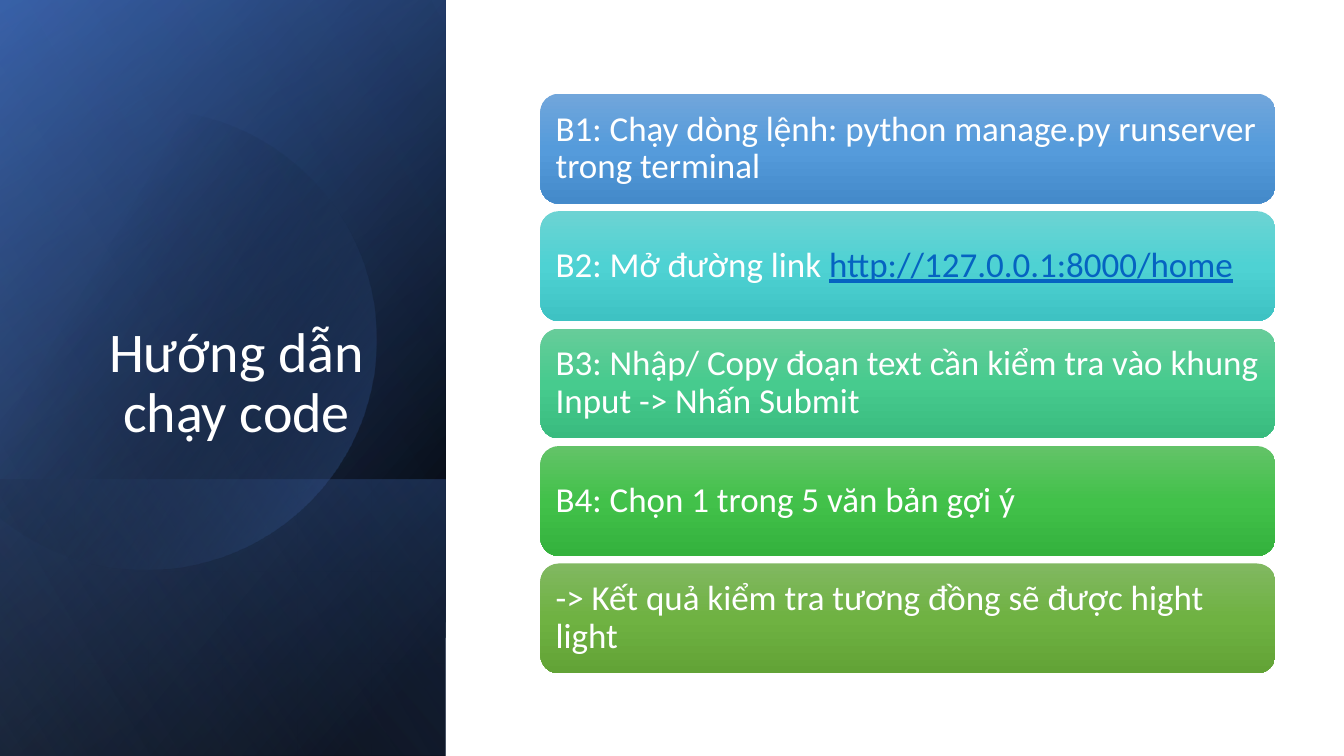
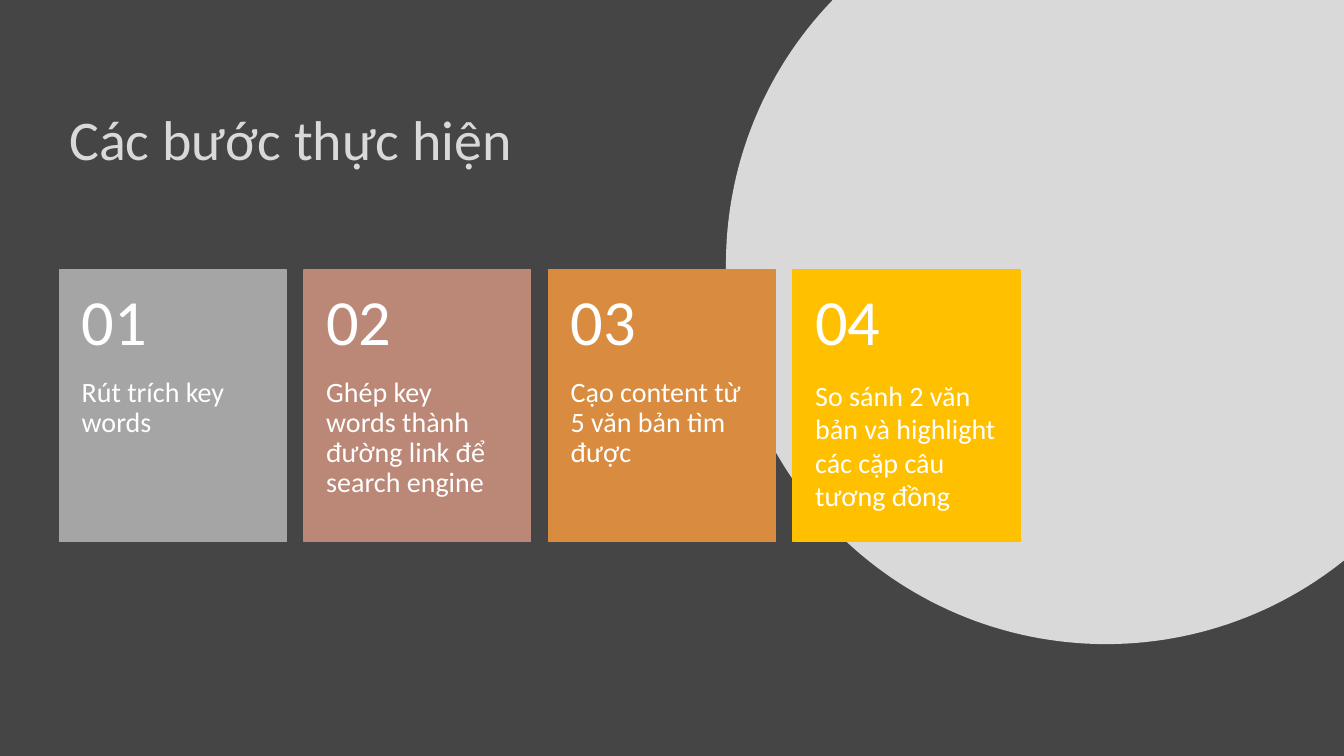
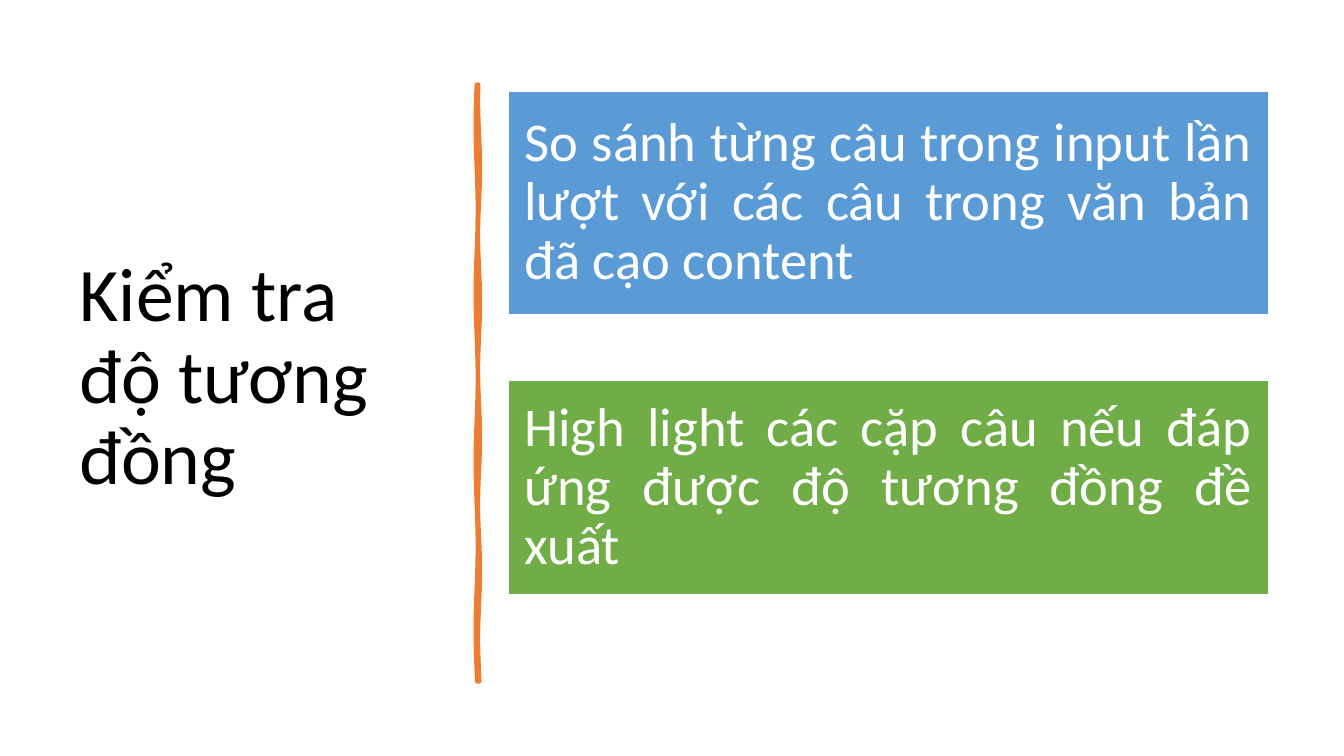
from math import acos, cos, degrees, pi, radians, sin

from lxml.etree import SubElement
from pptx import Presentation
from pptx.dml.color import RGBColor
from pptx.enum.shapes import MSO_SHAPE as Preset
from pptx.enum.text import MSO_ANCHOR as Anchor, PP_ALIGN as Align
from pptx.oxml.ns import qn
from pptx.util import Inches, Pt

FONT = "Calibri"
SLIDE_WIDTH, SLIDE_HEIGHT = 13.33, 7.5
PANEL_WIDTH = 4.42
TITLE_INSETS = (0.1, 0.05, 0.1, 0.05)

WHITE = RGBColor(0xFF, 0xFF, 0xFF)
BLACK = RGBColor(0x00, 0x00, 0x00)
CHARCOAL = RGBColor(0x45, 0x45, 0x45)
SILVER = RGBColor(0xD9, 0xD9, 0xD9)
GRAY = RGBColor(0xA5, 0xA5, 0xA5)
CLAY = RGBColor(0xBB, 0x87, 0x76)
AMBER = RGBColor(0xD9, 0x8C, 0x3F)
GOLD = RGBColor(0xFF, 0xC0, 0x00)
ORANGE = RGBColor(0xED, 0x7D, 0x31)
GREEN = RGBColor(0x70, 0xAD, 0x47)
SKY = RGBColor(0x5B, 0x9B, 0xD5)
BLUE = RGBColor(0x44, 0x72, 0xC4)
NAVY = RGBColor(0x2F, 0x55, 0x97)
PALE_BLUE = RGBColor(0x8F, 0xAA, 0xDC)
LINK_BLUE = RGBColor(0x05, 0x63, 0xC1)

RUN_STEPS = [
    ("B1: Chạy dòng lệnh: python manage.py runserver trong terminal", "", ("71A6DB", "559BDB", "448ACA")),
    ("B2: Mở đường link ", "http://127.0.0.1:8000/home", ("6CD3D3", "4ED2D3", "3EC2C3")),
    ("B3: Nhập/ Copy đoạn text cần kiểm tra vào khung Input -> Nhấn Submit", "", ("67CC9A", "47CB8E", "39BB7F")),
    ("B4: Chọn 1 trong 5 văn bản gợi ý", "", ("63C368", "42C14A", "34B23D")),
    ("-> Kết quả kiểm tra tương đồng sẽ được hight light", "", ("81B861", "6FB242", "62A336")),
]
WORK_STEPS = [
    ("Rút trích key words", GRAY, 0.9),
    ("Ghép key words thành đường link để search engine", CLAY, 0.9),
    ("Cạo content từ 5 văn bản tìm được", AMBER, 0.9),
    ("So sánh 2 văn bản và highlight các cặp câu tương đồng", GOLD, 1.0),
]
CHECKS = [
    ("So sánh từng câu trong input lần lượt với các câu trong văn bản đã cạo content", SKY, 0.91, 2.21),
    ("High light các cặp câu nếu đáp ứng được độ tương đồng đề xuất", GREEN, 3.77, 2.13),
]


def add_slide(presentation, background):
    slide = presentation.slides.add_slide(presentation.slide_layouts[6])
    slide.background.fill.solid()
    slide.background.fill.fore_color.rgb = background
    return slide


def set_alpha(color_element, percent):
    SubElement(color_element, qn("a:alpha")).set("val", str(percent * 1000))


def fill_gradient(shape, stops, angle):
    shape.fill.gradient()
    gradient = shape._element.spPr.find(qn("a:gradFill"))
    for child in list(gradient):
        gradient.remove(child)
    stop_list = SubElement(gradient, qn("a:gsLst"))
    for position, color, alpha in stops:
        stop = SubElement(stop_list, qn("a:gs"), pos=str(position * 1000))
        color_element = SubElement(stop, qn("a:srgbClr"), val=str(color))
        if alpha < 100:
            set_alpha(color_element, alpha)
    SubElement(gradient, qn("a:lin"), ang=str(angle * 60000), scaled="0")


def style(shape, fill=None, line=None, line_width=1):
    shape.shadow.inherit = False
    if fill is not None:
        shape.fill.solid()
        shape.fill.fore_color.rgb = fill
    if line is None:
        shape.line.fill.background()
    else:
        shape.line.color.rgb = line
        shape.line.width = Pt(line_width)


def add_box(slide, left, top, width, height, preset=Preset.RECTANGLE, **format):
    shape = slide.shapes.add_shape(preset, Inches(left), Inches(top), Inches(width), Inches(height))
    style(shape, **format)
    return shape


def add_outline(slide, points, **format):
    corners = [(Inches(x), Inches(y)) for x, y in points]
    builder = slide.shapes.build_freeform(*corners[0])
    builder.add_line_segments(corners[1:], close=True)
    shape = builder.convert_to_shape()
    style(shape, **format)
    return shape


def arc_points(center_x, center_y, radius, start, end, count=120):
    angles = [radians(start + (end - start) * step / count) for step in range(count + 1)]
    return [(center_x + radius * cos(angle), center_y + radius * sin(angle)) for angle in angles]


def write(shape, text, size, color=WHITE, align=Align.LEFT, anchor=Anchor.MIDDLE,
          insets=TITLE_INSETS, spacing=0.9, link=""):
    frame = shape.text_frame
    frame.word_wrap = True
    frame.vertical_anchor = anchor
    frame.margin_left, frame.margin_top, frame.margin_right, frame.margin_bottom = map(Inches, insets)
    paragraph = frame.paragraphs[0]
    paragraph.alignment = align
    paragraph.line_spacing = spacing
    for words, run_color in ((text, color), (link, LINK_BLUE)):
        if words:
            run = paragraph.add_run()
            run.text = words
            run.font.name = FONT
            run.font.size = Pt(size)
            run.font.color.rgb = run_color
            run.font.underline = words == link


def add_text(slide, left, top, width, height, text, size, **format):
    box = slide.shapes.add_textbox(Inches(left), Inches(top), Inches(width), Inches(height))
    write(box, text, size, **format)


def add_panel_layer(slide, top, stops, angle):
    height = SLIDE_HEIGHT - top
    layer = add_box(slide, (PANEL_WIDTH - height) / 2, top + (height - PANEL_WIDTH) / 2, height, PANEL_WIDTH)
    layer.rotation = 90
    layer._element.spPr.find(qn("a:xfrm")).set("flipH", "1")
    fill_gradient(layer, stops, angle)


def build_run_guide(presentation):
    slide = add_slide(presentation, WHITE)
    add_panel_layer(slide, 0, [(8, BLACK, 100), (100, NAVY, 100)], 50)
    add_panel_layer(slide, 0, [(0, BLACK, 0), (99, BLUE, 46)], 30)
    add_panel_layer(slide, 4.76, [(2, BLUE, 29), (100, BLACK, 30)], 130)
    center_x, radius = 1.45, 2.28
    cut = degrees(acos(-center_x / radius))
    disc = add_outline(slide, arc_points(center_x, 3.37, radius, -cut, cut))
    fill_gradient(disc, [(29, BLACK, 0), (100, BLUE, 43)], 30)
    add_panel_layer(slide, 0, [(0, BLACK, 0), (99, PALE_BLUE, 11)], 120)
    add_text(slide, 0.64, 1.84, 3.41, 2.62, "Hướng dẫn chạy code", 40, align=Align.CENTER, anchor=Anchor.BOTTOM)
    for index, (text, link, colors) in enumerate(RUN_STEPS):
        bar = add_box(slide, 5.36, 0.93 + 1.165 * index, 7.29, 1.09, Preset.ROUNDED_RECTANGLE)
        fill_gradient(bar, [(position, color, 100) for position, color in zip((0, 50, 100), colors)], 90)
        write(bar, text, 25, insets=(0.1, 0.1, 0.08, 0.1), link=link)


def build_work_steps(presentation):
    slide = add_slide(presentation, CHARCOAL)
    edge = arc_points(10.97, 2.62, 3.77, 224, 51)
    disc = add_outline(slide, edge + [(SLIDE_WIDTH, 5.55), (SLIDE_WIDTH, 0)], fill=WHITE)
    set_alpha(disc._element.spPr.find(qn("a:solidFill"))[0], 80)
    for index, (text, color, spacing) in enumerate(WORK_STEPS):
        left = 0.59 + 2.425 * index
        card = add_box(slide, left, 2.68, 2.25, 2.69, fill=color, line=color)
        write(card, text, 20, anchor=Anchor.TOP, insets=(0.22, 1.07, 0.23, 0.36), spacing=spacing)
        add_text(slide, left, 2.68, 2.25, 1.08, f"{index + 1:02}", 46, insets=(0.22, 0.18, 0.22, 0.18))
    add_text(slide, 0.59, 0.69, 5.81, 1.45, "Các bước thực hiện", 40, color=SILVER)


def build_similarity_check(presentation):
    slide = add_slide(presentation, WHITE)
    add_text(slide, 0.69, 0.7, 3.7, 6.11, "Kiểm tra độ tương đồng", 54, color=BLACK)
    heights = [0.84 + 5.92 * step / 60 for step in range(61)]
    right_edge = [(4.75 + 0.01 * sin(pi * y * 1.5), y) for y in heights]
    left_edge = [(4.73 + 0.01 * sin(pi * y * 1.2), y) for y in reversed(heights)]
    add_outline(slide, right_edge + left_edge, fill=ORANGE, line=ORANGE, line_width=3.25)
    for text, color, top, height in CHECKS:
        card = add_box(slide, 5.04, top, 7.54, height, fill=color, line=WHITE)
        write(card, text, 39, align=Align.JUSTIFY, insets=(0.16,) * 4)


def main():
    presentation = Presentation()
    presentation.slide_width = Inches(SLIDE_WIDTH)
    presentation.slide_height = Inches(SLIDE_HEIGHT)
    build_run_guide(presentation)
    build_work_steps(presentation)
    build_similarity_check(presentation)
    presentation.save("out.pptx")


if __name__ == "__main__":
    main()
